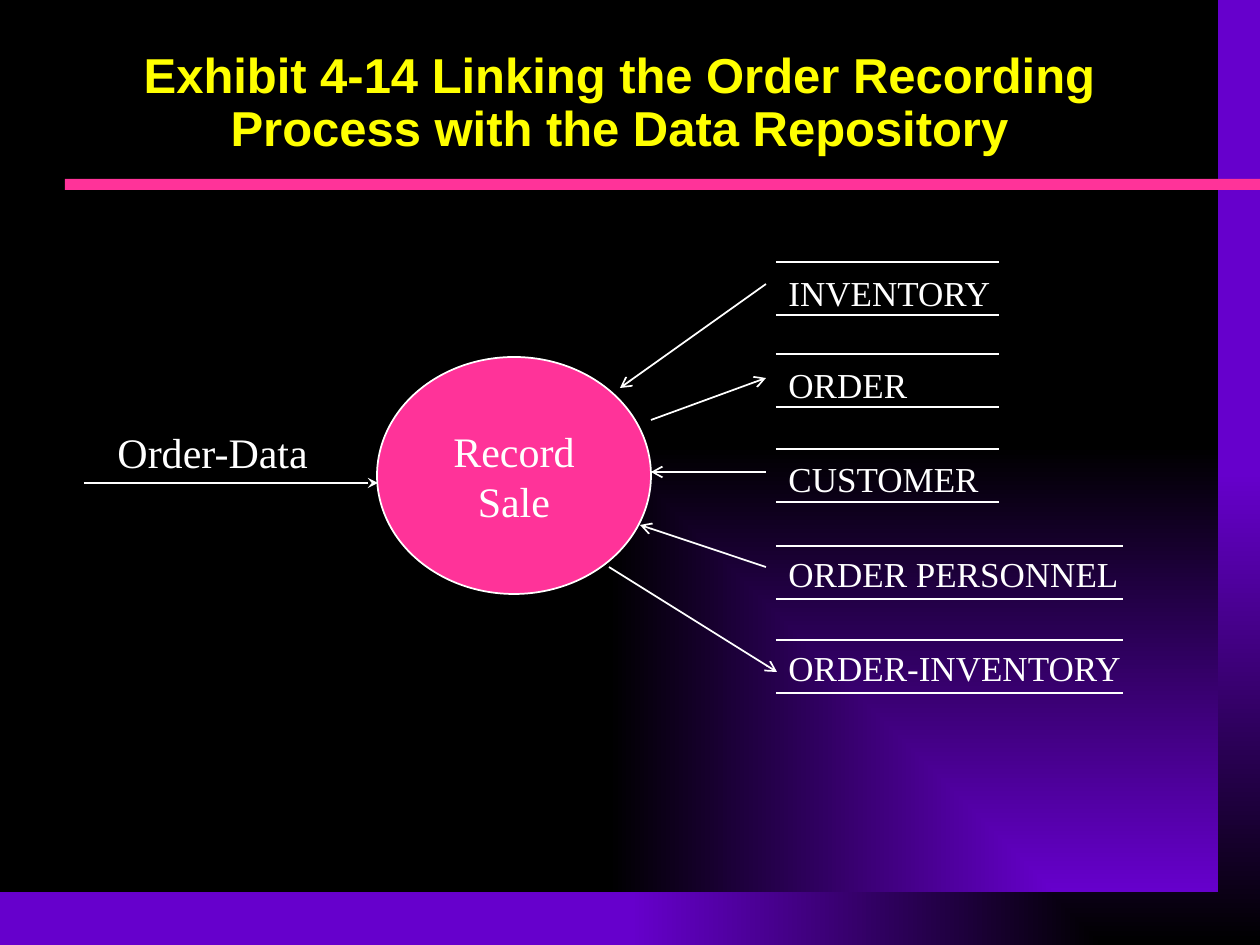
import pptx
import pptx.util
import pptx.dml.color
import pptx.enum.shapes
import pptx.enum.text
import pptx.oxml
import pptx.oxml.ns
from lxml import etree

EMU = 914400 / 126  # one px
HEX = {"black": "000000", "purple": "6600CC", "pink": "FF3399",
       "yellow": "FFFF00", "white": "FFFFFF"}
RGB = {name: pptx.dml.color.RGBColor.from_string(code) for name, code in HEX.items()}
SHAPE = pptx.enum.shapes.MSO_SHAPE
ALIGN = pptx.enum.text.PP_ALIGN
MIDDLE = pptx.enum.text.MSO_ANCHOR.MIDDLE
qn = pptx.oxml.ns.qn

deck = pptx.Presentation()
deck.slide_width, deck.slide_height = round(1260 * EMU), round(945 * EMU)
slide = deck.slides.add_slide(deck.slide_layouts[6])
shapes = slide.shapes


def write(shape, text, size, align=ALIGN.LEFT, color="white",
          face="Times New Roman", wrap=False):
    frame = shape.text_frame
    frame.word_wrap = wrap
    frame.text = text
    for para in frame.paragraphs:
        para.alignment = align
        para.font.size = pptx.util.Pt(size)
        para.font.name = face
        para.font.color.rgb = RGB[color]
    return frame


def draw(x1, y1, x2, y2, head=None):
    ends = [round(n * EMU) for n in (x1, y1, x2, y2)]
    line = shapes.add_connector(pptx.enum.shapes.MSO_CONNECTOR.STRAIGHT, *ends)
    line.line.color.rgb = RGB["white"]
    line.line.width = pptx.util.Pt(1)
    if head:
        etree.SubElement(line.line._get_or_add_ln(), qn("a:tailEnd"), type=head)
    etree.SubElement(line.element.spPr, qn("a:effectLst"))


# Background, panel, bar and circle
panel, bar, circle = [
    shapes.add_shape(kind, *[round(n * EMU) for n in box])
    for kind, box in ((SHAPE.RECTANGLE, (0, 0, 1218, 892)),
                      (SHAPE.RECTANGLE, (65, 179, 1195, 11)),
                      (SHAPE.OVAL, (377, 357, 274, 237)))]
for shape in (panel, bar, circle):
    shape.shadow.inherit = False
    shape.line.fill.background()
for shape in (bar, circle):
    shape.fill.solid()
    shape.fill.fore_color.rgb = RGB["pink"]

# Gradients that spread from the lower right corner
for fill, root, shades in ((slide.background.fill, slide.element, ("black", "purple")),
                           (panel.fill, panel.element, ("purple", "black"))):
    fill.gradient()
    for stop, shade, place in zip(fill.gradient_stops, shades, (0, 1)):
        stop.color.rgb = RGB[shade]
        stop.position = place
    grad = root.find(".//" + qn("a:gradFill"))
    lin = grad.find(qn("a:lin"))
    route = etree.Element(qn("a:path"), path="rect")
    etree.SubElement(route, qn("a:fillToRect"), l="100000", t="100000")
    grad.replace(lin, route)

# Title
title = shapes.add_textbox(*[round(n * EMU) for n in (84, 42, 1071, 125)])
frame = write(title, "Exhibit 4-14 Linking the Order Recording Process with the Data Repository",
              28, ALIGN.CENTER, "yellow", "Arial", True)
frame.vertical_anchor = MIDDLE
frame.paragraphs[0].font.bold = True
frame.paragraphs[0].line_spacing = 0.9

# Process
circle.line.color.rgb = RGB["white"]
circle.line.width = pptx.util.Pt(1)
write(circle, "Record\nSale", 24, ALIGN.CENTER).vertical_anchor = MIDDLE

# Input flow
label = shapes.add_textbox(*[round(n * EMU) for n in (105, 420, 234, 63)])
write(label, "Order-Data", 24, wrap=True)
draw(84, 483, 378, 483, "stealth")

# Data stores: name, top rule, text top, width
for name, top, text, wide in (("INVENTORY", 262, 265, 223),
                              ("ORDER", 354, 357, 223),
                              ("CUSTOMER", 449, 451, 223),
                              ("ORDER PERSONNEL", 546, 546, 347),
                              ("ORDER-INVENTORY", 640, 640, 347)):
    store = shapes.add_textbox(*[round(n * EMU) for n in (776, text, wide + 12, 54)])
    write(store, name, 20)
    for y in (top, top + 53):
        draw(776, y, 776 + wide, y)

# Flows between the process and the stores
for ends in ((766, 284, 620, 388), (651, 420, 766, 378), (766, 472, 651, 472),
             (766, 567, 640, 525), (609, 567, 777, 672)):
    draw(*ends, "arrow")

deck.save("out.pptx")
